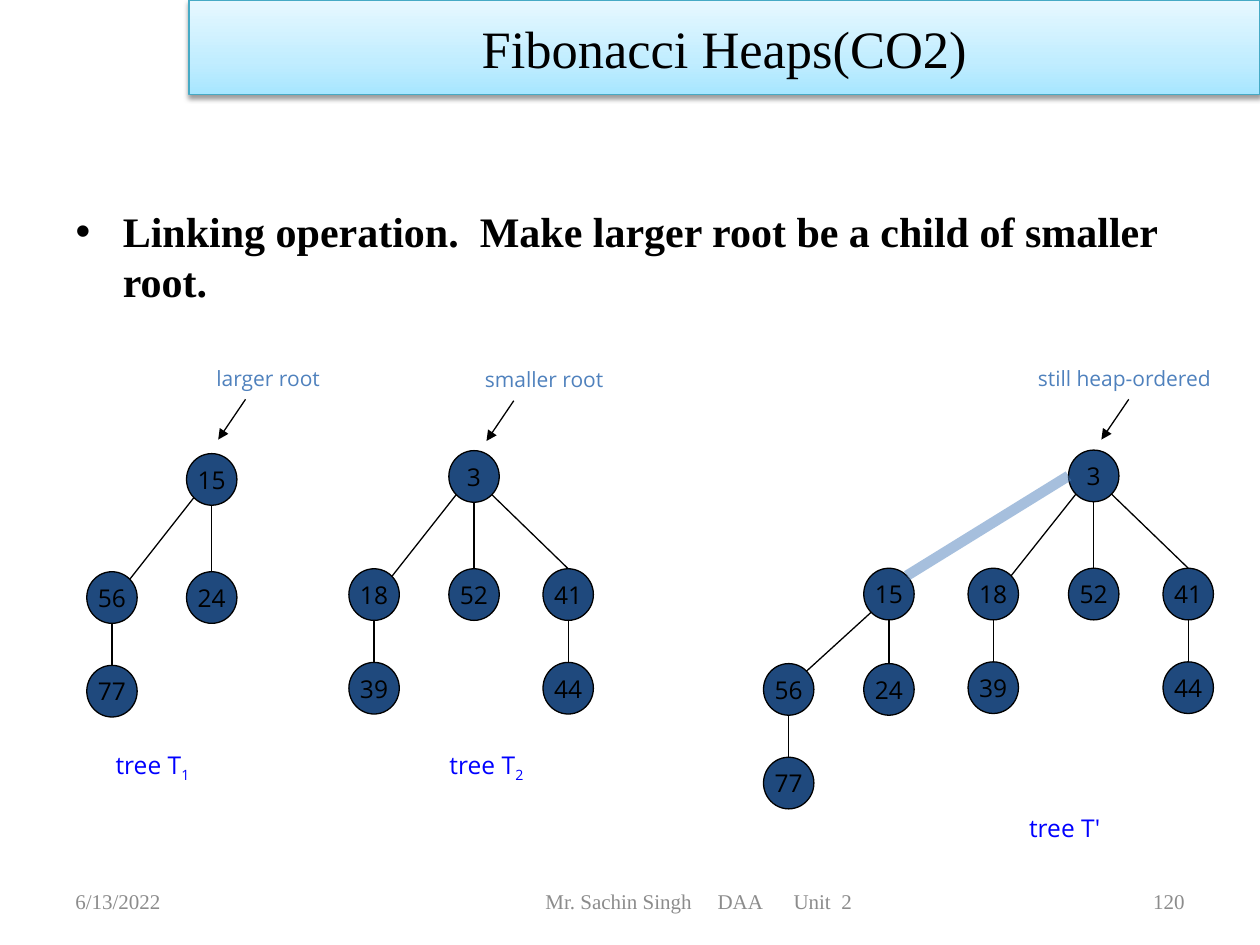
from copy import deepcopy

from lxml.etree import SubElement
from pptx import Presentation
from pptx.dml.color import RGBColor
from pptx.enum.shapes import MSO_CONNECTOR as Conn, MSO_SHAPE as Shape
from pptx.enum.text import MSO_ANCHOR as Anchor, PP_ALIGN as Align
from pptx.oxml.ns import qn
from pptx.util import Pt

HUES = {
    "ink": "000000", "node": "1F497D", "note": "4F81BD", "tree": "0000FF",
    "foot": "8C8C8C", "edge": "46AAC5",
}
GRAD = [(0, "A7E6FF"), (0.35, "C1EDFF"), (1, "E7F8FF")]
SERIF, SANS = "Times New Roman", "Open Sans"

HEAD = "Fibonacci Heaps(CO2)"
BODY = "Linking operation.  Make larger root be a child of smaller root."

TREES = [
    [("15", 121, 259.2, None), ("56", 64, 326.7, "15"),
     ("24", 121, 326.7, "15"), ("77", 64, 380.2, "56")],
    [("3", 270.9, 257.5, None), ("18", 213.8, 325, "3"),
     ("52", 270.9, 325, "3"), ("41", 324.7, 325, "3"),
     ("39", 213.8, 378.5, "18"), ("44", 324.7, 378.5, "41")],
    [("3", 625, 257.2, None), ("15", 508, 324.7, "3"),
     ("18", 567.6, 324.7, "3"), ("52", 625, 324.7, "3"),
     ("41", 679, 324.7, "3"), ("56", 450.7, 379.2, "15"),
     ("24", 508, 379.2, "15"), ("39", 567.6, 378.2, "18"),
     ("44", 679, 378.2, "41"), ("77", 450.7, 432.7, "56")],
]
LINK = (2, "15")
NAMES = [("tree T", "1", 59, 424.8, 60.5), ("tree T", "2", 249.8, 424.8, 60.5),
         ("tree T'", "", 581, 460.8, 57.6)]
NOTES = [("larger root", 116.6, 205.2, 78.5, 140.3),
         ("smaller root", 270, 206, 85.7, 293.6),
         ("still heap-ordered", 586, 205.2, 116.6, 645)]
FOOT = [("6/13/2022", 36, 168, 7.2, Align.LEFT),
        ("Mr. Sachin Singh\tDAA\tUnit  2", 246.2, 307.4, 65.5, Align.LEFT),
        ("120", 516, 168, 7.2, Align.RIGHT)]
TABS = [98.4, 141.8]

WIDE, HIGH = 28.8, 29.5
DX, DY = 10.2, 4.3


def hue(name):
    return RGBColor.from_string(HUES[name])


def style(run, face, size, name, bold=False):
    font = run.font
    font.name, font.size, font.bold = face, Pt(size), bold
    font.color.rgb = hue(name)


def line(start, end, name="ink", width=0.75):
    item = slide.shapes.add_connector(Conn.STRAIGHT, *map(Pt, start + end))
    item.line.color.rgb = hue(name)
    item.line.width = Pt(width)
    SubElement(item._element.spPr, qn("a:effectLst"))
    return item


def label(text, x, y, w, h, face, size, name, wrap=False):
    box = slide.shapes.add_textbox(Pt(x), Pt(y), Pt(w), Pt(h))
    frame = box.text_frame
    frame.word_wrap = wrap
    frame.text = text
    style(frame.paragraphs[0].runs[0], face, size, name)
    return frame


def node(text, x, y):
    disc = slide.shapes.add_shape(
        Shape.OVAL, Pt(x - WIDE / 2), Pt(y), Pt(WIDE), Pt(HIGH))
    disc.shadow.inherit = False
    disc.fill.solid()
    disc.fill.fore_color.rgb = hue("node")
    disc.line.color.rgb = hue("ink")
    disc.line.width = Pt(0.75)
    frame = disc.text_frame
    frame.word_wrap = False
    frame.vertical_anchor = Anchor.MIDDLE
    frame.text = text
    para = frame.paragraphs[0]
    para.alignment = Align.CENTER
    style(para.runs[0], SANS, 14, "ink")


def ends(kid, root):
    (x, y), (px, py) = kid, root
    if x < px:
        return (x + DX, y + DY), (px - DX, py + HIGH - DY)
    if x > px:
        return (x, y), (px + DX, py + HIGH - DY)
    return (x, y), (px, py + HIGH)


def draw(num, tree):
    spots = {text: (x, y) for text, x, y, _ in tree}
    for text, spot in spots.items():
        node(text, *spot)
    for text, x, y, up in tree:
        if up is None:
            continue
        if (num, text) == LINK:
            px, py = spots[up]
            bar = line((x + DX, y + DY), (px - WIDE / 2, py + HIGH / 2), "note", 6)
            tint = bar._element.spPr.find(".//" + qn("a:srgbClr"))
            SubElement(tint, qn("a:alpha"), val="50000")
        else:
            line(*ends(spots[text], spots[up]))


def banner():
    top = slide.shapes.title
    top.left, top.top, top.width, top.height = map(Pt, (108, 0, 612, 54))
    top.fill.gradient()
    top.fill.gradient_angle = 90
    stops = top._element.spPr.find(".//" + qn("a:gsLst"))
    stops.append(deepcopy(stops[0]))
    for stop, (at, code) in zip(top.fill.gradient_stops, GRAD):
        stop.position = at
        stop.color.rgb = RGBColor.from_string(code)
    top.line.color.rgb = hue("edge")
    top.line.width = Pt(0.75)
    glow = SubElement(top._element.spPr, qn("a:effectLst"))
    cast = SubElement(glow, qn("a:outerShdw"), blurRad=str(Pt(3.1)),
                      dist=str(Pt(1.6)), dir="5400000", rotWithShape="0")
    tint = SubElement(cast, qn("a:srgbClr"), val=HUES["ink"])
    SubElement(tint, qn("a:alpha"), val="38000")
    frame = top.text_frame
    frame.text = HEAD
    frame.vertical_anchor = Anchor.MIDDLE
    para = frame.paragraphs[0]
    para.alignment = Align.CENTER
    style(para.runs[0], SERIF, 30, "ink")


deck = Presentation()
deck.slide_width, deck.slide_height = Pt(720), Pt(540)
slide = deck.slides.add_slide(deck.slide_layouts[1])

banner()
body = slide.placeholders[1]
body.left, body.top, body.width, body.height = map(Pt, (36, 113.8, 648, 356.4))
body.text_frame.text = BODY
lead = body.text_frame.paragraphs[0]
lead.space_before = Pt(0)
style(lead.runs[0], SERIF, 24, "ink", True)

for num, tree in enumerate(TREES):
    draw(num, tree)

for text, sub, x, y, w in NAMES:
    frame = label(text, x, y, w, 24, SANS, 14, "tree")
    if sub:
        run = frame.paragraphs[0].add_run()
        run.text = sub
        style(run, SANS, 14, "tree")
        run.font._element.set("baseline", "-25000")

for text, x, y, w, tip in NOTES:
    label(text, x, y, w, 21.6, SANS, 12, "note")
    arrow = line((tip, y + 23), (tip - 15.6, y + 46))
    SubElement(arrow.line._get_or_add_ln(), qn("a:tailEnd"), type="triangle")

for text, x, w, inset, side in FOOT:
    frame = label(text, x, 500.5, w, 28.8, SERIF, 12, "foot", True)
    frame.margin_left = Pt(inset)
    frame.vertical_anchor = Anchor.MIDDLE
    para = frame.paragraphs[0]
    para.alignment = side
    if "\t" in text:
        stops = SubElement(para._p.get_or_add_pPr(), qn("a:tabLst"))
        for at in TABS:
            SubElement(stops, qn("a:tab"), pos=str(Pt(at)), algn="l")

deck.save("out.pptx")
